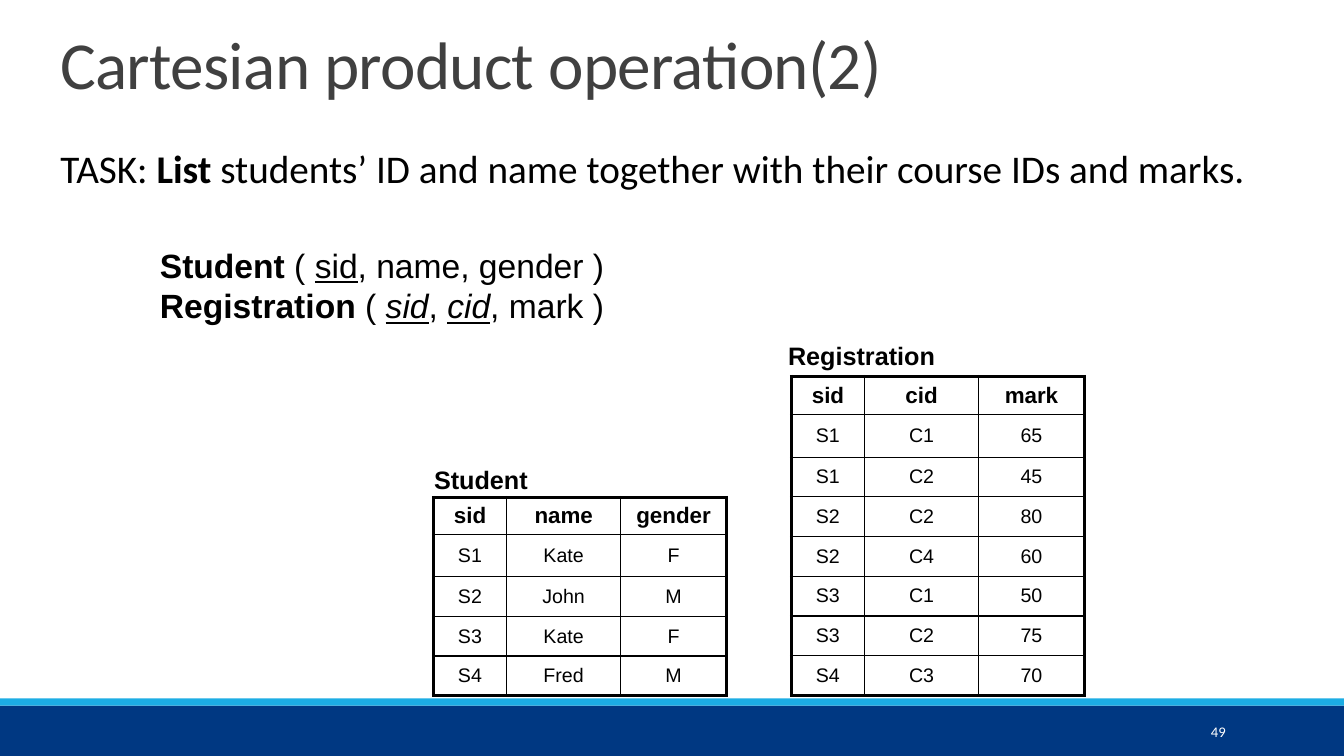
from lxml import etree
from pptx import Presentation
from pptx import util as u
from pptx.dml.color import RGBColor
from pptx.enum import shapes, text
from pptx.oxml.ns import qn

# Content: spans are (words, style), where style holds any of b, i, u
TITLE = "Cartesian product operation(2)"
TASK = [[("TASK: ", ""), ("List", "b"),
         (" students’ ID and name together with their course IDs and marks.", "")]]
SCHEMAS = [
    [("Student", "b"), (" ( ", ""), ("sid", "u"), (", name, gender )", "")],
    [("Registration", "b"), (" ( ", ""), ("sid", "iu"), (", ", ""),
     ("cid", "iu"), (", mark )", "")],
]
RELATIONS = [
    {"name": "Student", "label": (10.69, 11.58, 2.9), "left": 10.92, "header": 0.92,
     "rows": [("sid", "name", "gender"), ("S1", "Kate", "F"), ("S2", "John", "M"),
              ("S3", "Kate", "F"), ("S4", "Fred", "M")]},
    {"name": "Registration", "label": (19.61, 8.46, 4.24), "left": 19.94, "header": 0.97,
     "rows": [("sid", "cid", "mark"), ("S1", "C1", "65"), ("S1", "C2", "45"),
              ("S2", "C2", "80"), ("S2", "C4", "60"), ("S3", "C1", "50"),
              ("S3", "C2", "75"), ("S4", "C3", "70")]},
]
PAGE_NUMBER = "49"
COLORS = {"navy": "003882", "sky": "1CADE4", "title": "404040",
          "ink": "000000", "white": "FFFFFF"}

# Layout in centimetres
WIDTH, HEIGHT = 33.87, 19.05
BANDS = [(17.78, 1.27, "navy"), (17.6, 0.18, "sky")]
COLUMNS = [1.85, 2.87, 2.67]
FIRST_ROW, OTHER_ROW = 1.07, 1.0
TABLE_BOTTOM = 17.52
THICK, THIN = 2.25, 1

deck = Presentation()
deck.slide_width, deck.slide_height = u.Cm(WIDTH), u.Cm(HEIGHT)
page = deck.slides.add_slide(deck.slide_layouts[6])


def style_font(font, name, size, color, style=""):
    font.name, font.size = name, u.Pt(size)
    font.color.rgb = RGBColor.from_string(COLORS[color])
    font.bold, font.italic, font.underline = "b" in style, "i" in style, "u" in style


def add_text(place, lines, name, size, color="ink", wrap=True):
    box = page.shapes.add_textbox(*map(u.Cm, place))
    frame = box.text_frame
    frame.word_wrap = wrap
    for number, spans in enumerate(lines):
        para = frame.add_paragraph() if number else frame.paragraphs[0]
        for words, style in spans:
            span = para.add_run()
            span.text = words
            style_font(span.font, name, size, color, style)
    return frame


def set_border(cell, side, width):
    line = etree.SubElement(cell._tc.get_or_add_tcPr(), qn("a:ln" + side),
                            w=str(u.Pt(width)))
    fill = etree.SubElement(line, qn("a:solidFill"))
    etree.SubElement(fill, qn("a:srgbClr"), val=COLORS["ink"])


def add_relation(relation):
    rows = relation["rows"]
    heights = [relation["header"], FIRST_ROW] + [OTHER_ROW] * (len(rows) - 2)
    total = sum(heights)
    place = relation["left"], TABLE_BOTTOM - total, sum(COLUMNS), total
    table = page.shapes.add_table(len(rows), len(COLUMNS), *map(u.Cm, place)).table
    table.first_row = table.horz_banding = False
    for column, width in zip(table.columns, COLUMNS):
        column.width = u.Cm(width)
    for r, (values, height) in enumerate(zip(rows, heights)):
        table.rows[r].height = u.Cm(height)
        for c, value in enumerate(values):
            cell = table.cell(r, c)
            outer = {"L": c == 0, "R": c == len(COLUMNS) - 1,
                     "T": r == 0, "B": r == len(rows) - 1}
            for side, on_edge in outer.items():
                set_border(cell, side, THICK if on_edge else THIN)
            cell.fill.background()
            cell.vertical_anchor = text.MSO_ANCHOR.MIDDLE
            cell.text_frame.text = value
            para = cell.text_frame.paragraphs[0]
            para.alignment = text.PP_ALIGN.CENTER
            style_font(para.runs[0].font, "Arial", 14 if r else 16, "ink", "" if r else "b")


# Footer bands and page number
for top, height, color in BANDS:
    band = page.shapes.add_shape(shapes.MSO_SHAPE.RECTANGLE, 0, u.Cm(top),
                                 u.Cm(WIDTH), u.Cm(height))
    band.shadow.inherit = False
    band.fill.solid()
    band.fill.fore_color.rgb = RGBColor.from_string(COLORS[color])
    band.line.fill.background()
number_frame = add_text((27.51, 17.93, 3.63, 1.02), [[(PAGE_NUMBER, "")]],
                        "Calibri", 10.5, "white")
number_frame.vertical_anchor = text.MSO_ANCHOR.MIDDLE
number_frame.paragraphs[0].alignment = text.PP_ALIGN.RIGHT

# Tables with their names
for relation in RELATIONS:
    add_relation(relation)
    add_text((*relation["label"], 1.02), [[(relation["name"], "b")]],
             "Arial", 18, wrap=False)

# Schemas, title and task
add_text((3.78, 6.05, 11.81, 2.31), SCHEMAS, "Arial", 24)
title = add_text((1.27, 0.76, 25.65, 3.18), [[(TITLE, "")]],
                 "Calibri", 48, "title").paragraphs[0]
title.line_spacing = 0.85
title.runs[0].font._element.set("spc", "-50")
task_frame = add_text((0, 3.51, 32.16, 1.45), TASK, "Calibri", 28)
task_frame.margin_left = u.Cm(1.52)

deck.save("out.pptx")
